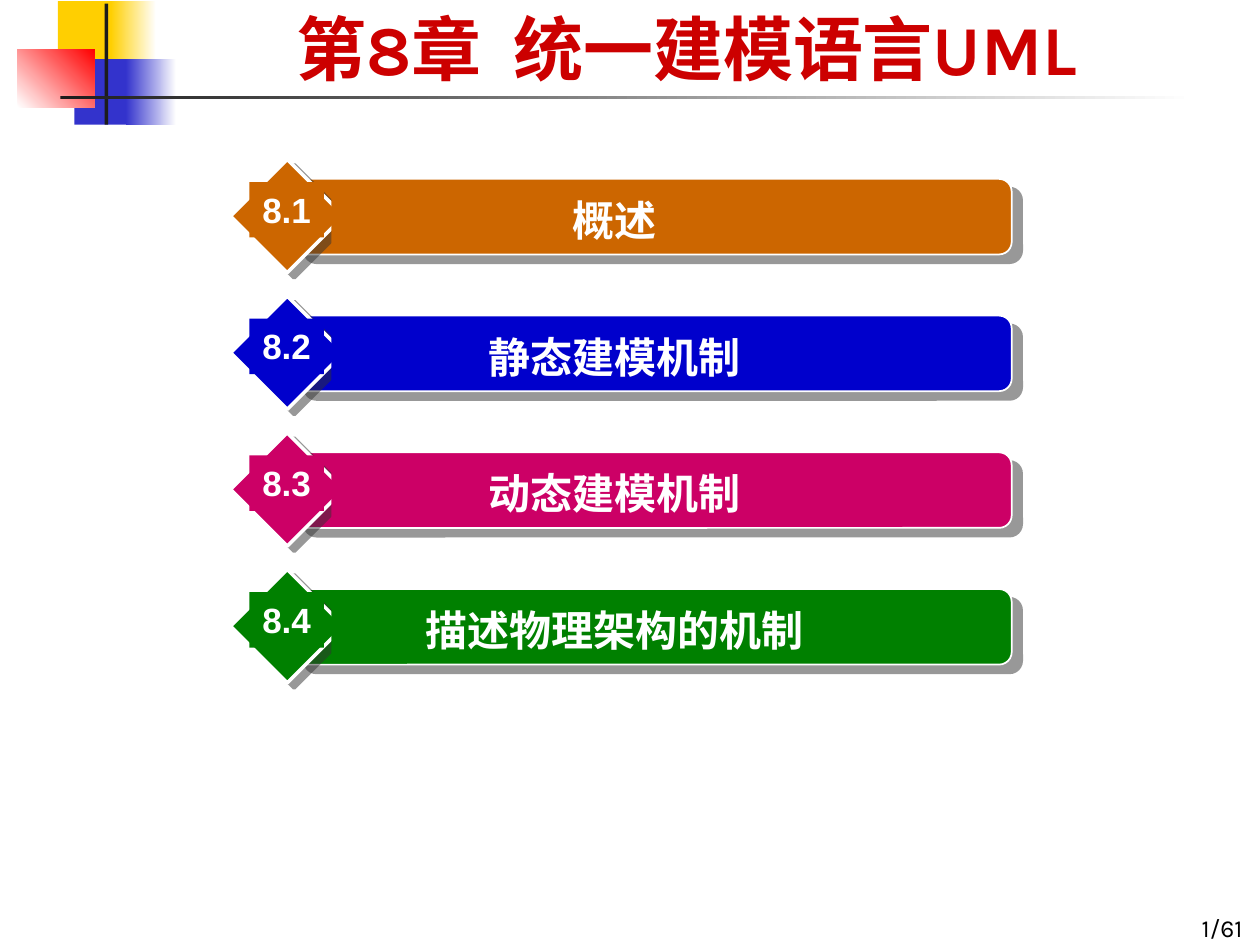
from lxml import etree
from pptx import Presentation, util as u
from pptx.dml.color import RGBColor
from pptx.enum import shapes, text
from pptx.oxml import ns

GOLD = RGBColor(0xFF, 0xCF, 0x01)
INDIGO = RGBColor(0x33, 0x33, 0xCC)
SCARLET = RGBColor(0xFF, 0x00, 0x00)
INK = RGBColor(0x1C, 0x1C, 0x1C)
CRIMSON = RGBColor(0xCC, 0x00, 0x00)
ORANGE = RGBColor(0xCC, 0x66, 0x00)
BLUE = RGBColor(0x00, 0x00, 0xCC)
PINK = RGBColor(0xCC, 0x00, 0x66)
GREEN = RGBColor(0x00, 0x80, 0x00)
GREY = RGBColor(0x33, 0x33, 0x33)
WHITE = RGBColor(0xFF, 0xFF, 0xFF)
BLACK = RGBColor(0x00, 0x00, 0x00)

COLS, ROWS = 100, 75
KIND = shapes.MSO_SHAPE
ALIGN = text.PP_ALIGN
ANCHOR = text.MSO_ANCHOR

TOPICS = [
    ("8.1", "概述", ORANGE),
    ("8.2", "静态建模机制", BLUE),
    ("8.3", "动态建模机制", PINK),
    ("8.4", "描述物理架构的机制", GREEN),
]
FIRST, STEP = 14.2, 10.85


class Deck:
    """Style and current slide; boxes are (column, row, columns, rows)."""

    head, body, asian = "Karla", "Arial", "Noto Sans CJK JP"

    def __init__(self):
        self.prs = Presentation()
        self.prs.slide_width, self.prs.slide_height = u.Inches(10), u.Inches(7.5)
        self.slide = self.prs.slides.add_slide(self.prs.slide_layouts[6])

    def place(self, box):
        wide = self.prs.slide_width / COLS
        high = self.prs.slide_height / ROWS
        return [round(n * unit) for n, unit in zip(box, (wide, high, wide, high))]

    def block(self, box, fill, kind=KIND.RECTANGLE, host=None, edge=0):
        item = (host or self.slide).shapes.add_shape(kind, *self.place(box))
        item.shadow.inherit = False
        item.fill.solid()
        item.fill.fore_color.rgb = fill
        if edge:
            item.line.color.rgb = WHITE
            item.line.width = u.Pt(edge)
        else:
            item.line.fill.background()
        return item

    def fade(self, box, start, end, angle=0):
        item = self.block(box, start)
        item.fill.gradient()
        item.fill.gradient_angle = angle
        for stop, color in zip(item.fill.gradient_stops, (start, end)):
            stop.color.rgb = color

    def shade(self, item, dist, angle):
        """Give the shape a hard, half-transparent offset shadow."""
        effects = item.element.spPr.find(ns.qn("a:effectLst"))
        outer = etree.SubElement(
            effects, ns.qn("a:outerShdw"), blurRad="0", dist=str(u.Pt(dist)),
            dir=str(angle * 60000), algn="ctr", rotWithShape="0")
        color = etree.SubElement(outer, ns.qn("a:srgbClr"), val=str(GREY))
        etree.SubElement(color, ns.qn("a:alpha"), val="50000")

    def letter(self, item, words, size, color, font, bold=True,
               align=ALIGN.CENTER, anchor=ANCHOR.TOP, wrap=True):
        """Set the shape's one line of text and its style."""
        frame = item.text_frame
        frame.text = words
        frame.word_wrap = wrap
        frame.vertical_anchor = anchor
        para = frame.paragraphs[0]
        para.alignment = align
        run = para.runs[0]
        run.font.size, run.font.bold = u.Pt(size), bold
        run.font.color.rgb = color
        run.font.name = font
        latin = run._r.rPr.find(ns.qn("a:latin"))
        latin.addnext(etree.Element(ns.qn("a:ea"), typeface=self.asian))

    def label(self, box, words, size, color, **style):
        item = self.slide.shapes.add_textbox(*self.place(box))
        self.letter(item, words, size, color, self.head,
                    anchor=ANCHOR.BOTTOM, **style)

    def topic(self, top, number, words, color):
        """Draw one numbered bar as a group."""
        group = self.slide.shapes.add_group_shape()
        bar = self.block((23.3, top, 57, 6), color, KIND.ROUNDED_RECTANGLE, group, 1)
        self.shade(bar, 7.8, 40)
        gem = self.block((18.3, top - 1.55, 9, 9), color, KIND.DIAMOND, group, 2)
        self.shade(gem, 5, 37)
        name = self.block((26.3, top + 0.75, 45, 5), color, host=group)
        self.letter(name, words, 24, WHITE, self.body)
        badge = self.block((19.8, top + 0.25, 5.9, 4.4), color, host=group)
        self.letter(badge, number, 20, WHITE, self.body, wrap=False)


def main():
    deck = Deck()
    deck.block((4.6, 0.1, 4.8, 5.2), GOLD)
    deck.fade((8.8, 0.1, 3.6, 5.2), GOLD, WHITE)
    deck.block((5.9, 4.7, 4.6, 5.2), INDIGO)
    deck.fade((10, 4.7, 4, 5.2), INDIGO, WHITE)
    deck.fade((1.4, 3.9, 6.1, 4.6), WHITE, SCARLET, 45)
    deck.block((8.3, 0.3, 0.3, 9.6), INK)
    deck.fade((4.8, 7.6, 90, 0.3), INK, WHITE)

    deck.label((12.6, 0.5, 85.2, 7.1), "第8章  统一建模语言UML ", 40, CRIMSON)
    for i, (number, words, color) in enumerate(TOPICS):
        deck.topic(FIRST + i * STEP, number, words, color)
    deck.label((78.8, 70.3, 20.8, 5), "1/61", 14, BLACK,
               bold=False, align=ALIGN.RIGHT)
    deck.prs.save("out.pptx")


if __name__ == "__main__":
    main()
